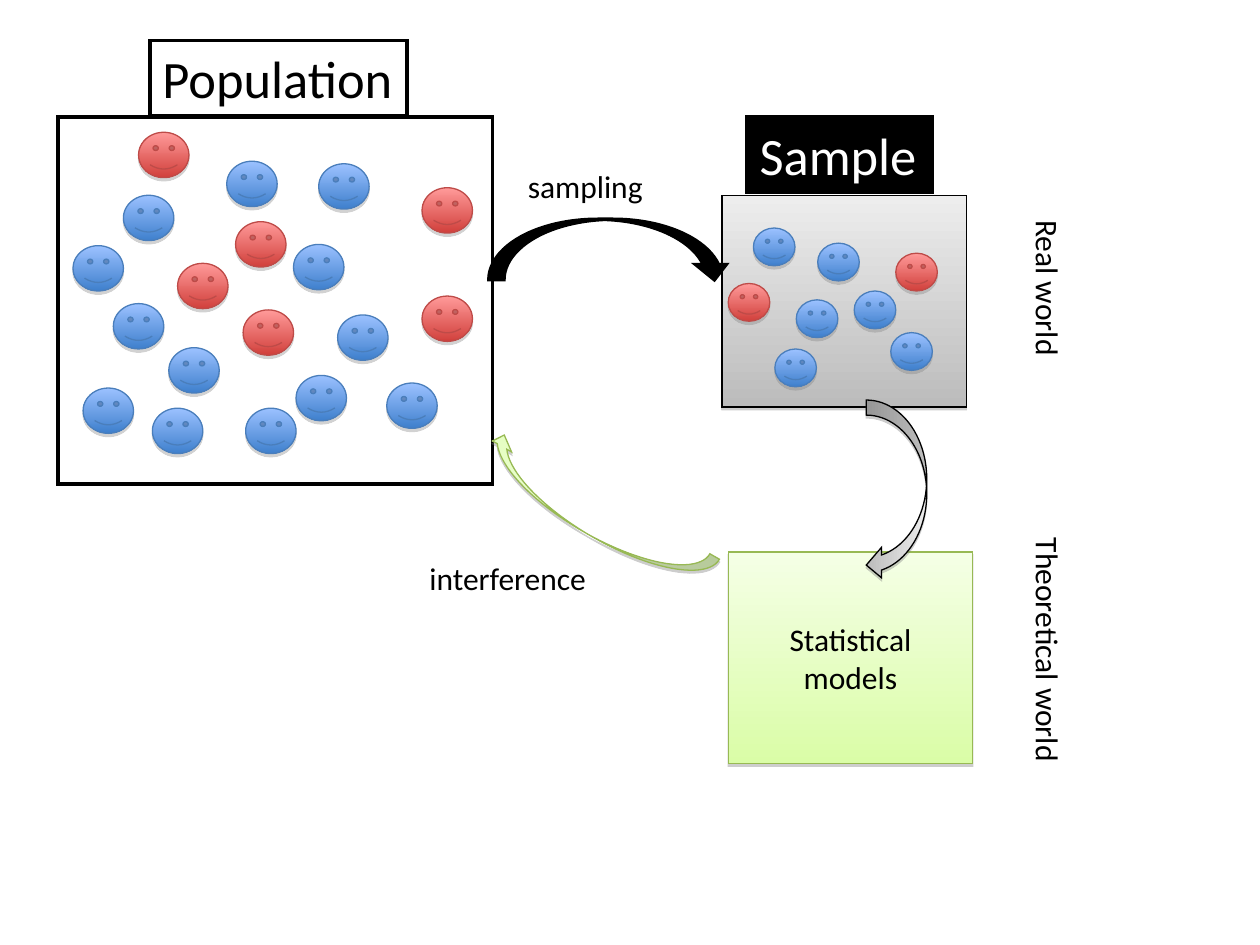
from dataclasses import dataclass
from typing import NamedTuple, Optional

from lxml import etree
from pptx import Presentation
from pptx.dml.color import RGBColor
from pptx.enum.shapes import MSO_SHAPE
from pptx.enum.text import MSO_ANCHOR, MSO_AUTO_SIZE, PP_ALIGN
from pptx.oxml.ns import qn
from pptx.util import Inches, Pt

RECT = MSO_SHAPE.RECTANGLE
SMILEY = MSO_SHAPE.SMILEY_FACE
CURVED_ARROW = MSO_SHAPE.CURVED_DOWN_ARROW
LEFT, CENTER = PP_ALIGN.LEFT, PP_ALIGN.CENTER
TOP, MIDDLE = MSO_ANCHOR.TOP, MSO_ANCHOR.MIDDLE
FIT_TEXT, NO_FIT = MSO_AUTO_SIZE.SHAPE_TO_FIT_TEXT, MSO_AUTO_SIZE.NONE

BLACK = RGBColor(0x00, 0x00, 0x00)
WHITE = RGBColor(0xFF, 0xFF, 0xFF)
SHADOW = RGBColor(0x80, 0x80, 0x80)
FONT = "Calibri"


class Box(NamedTuple):
    left: float
    top: float
    width: float
    height: float


@dataclass(frozen=True)
class Style:
    fill: tuple[RGBColor, ...]  # none, one plain colour or two gradient stops
    line: RGBColor
    line_width: float = 0.75
    shadow: Optional[tuple[float, int]] = None  # distance in points, opacity in percent


FRAME = Style((), BLACK, 2)
WHITE_LABEL = Style((WHITE,), BLACK, 2)
SOLID_BLACK = Style((BLACK,), BLACK, 2)
GRAY = Style((RGBColor(0xED, 0xED, 0xED), RGBColor(0xBC, 0xBC, 0xBC)), BLACK, shadow=(1.6, 38))
GREEN = Style((RGBColor(0xF5, 0xFF, 0xE6), RGBColor(0xDA, 0xFD, 0xA7)),
              RGBColor(0x98, 0xB9, 0x54), shadow=(1.6, 38))
BLUE_FACE = Style((RGBColor(0x9B, 0xC1, 0xFF), RGBColor(0x3F, 0x80, 0xCD)),
                  RGBColor(0x4A, 0x7E, 0xBB), shadow=(1.8, 35))
RED_FACE = Style((RGBColor(0xFF, 0x9A, 0x99), RGBColor(0xD1, 0x40, 0x3C)),
                 RGBColor(0xBE, 0x4B, 0x48), shadow=(1.8, 35))

POPULATION_FACE = (0.4, 0.36)
POPULATION_BLUE = [(1.8, 1.28), (0.58, 1.95), (2.33, 1.94), (0.9, 2.41), (2.53, 1.3),
                   (1.34, 2.76), (1.95, 3.24), (1.21, 3.24), (3.07, 3.04), (0.66, 3.08),
                   (2.68, 2.5), (2.35, 2.98), (0.98, 1.55)]
POPULATION_RED = [(1.1, 1.05), (1.93, 2.46), (3.35, 1.49), (1.87, 1.76), (3.35, 2.35),
                  (1.41, 2.09)]
SAMPLE_FACE = (0.33, 0.3)
SAMPLE_BLUE = [(6.49, 1.93), (5.98, 1.81), (6.15, 2.77), (6.32, 2.38), (7.07, 2.64),
               (6.78, 2.31)]
SAMPLE_RED = [(5.78, 2.25), (7.11, 2.01)]


def add_shadow(shape, distance: float, opacity: int) -> None:
    effects = shape._element.spPr.find(qn("a:effectLst"))
    outer = etree.SubElement(effects, qn("a:outerShdw"), blurRad="0", dist=str(Pt(distance)),
                             dir="5400000", rotWithShape="0")
    color = etree.SubElement(outer, qn("a:srgbClr"), val=str(SHADOW))
    etree.SubElement(color, qn("a:alpha"), val=str(opacity * 1000))


def draw_shape(s, kind, box: Box, style: Style, rotation: float = 0):
    """Draw a preset shape with sharp corners and a top-to-bottom gradient."""
    sp = s.shapes.add_shape(kind, *map(Inches, box))
    sp.rotation = rotation
    sp.shadow.inherit = False
    if len(style.fill) == 2:
        sp.fill.gradient()
        sp.fill.gradient_angle = 270
        for position, (stop, color) in enumerate(zip(sp.fill.gradient_stops, style.fill)):
            stop.color.rgb = color
            stop.position = position
    elif style.fill:
        sp.fill.solid()
        sp.fill.fore_color.rgb = style.fill[0]
    else:
        sp.fill.background()
    sp.line.color.rgb = style.line
    sp.line.width = Pt(style.line_width)
    etree.SubElement(sp._element.spPr.find(qn("a:ln")), qn("a:miter"), lim="800000")
    if style.shadow:
        add_shadow(sp, *style.shadow)
    return sp


def write(sp, text: str, *, size: float = 18, color: RGBColor = BLACK, align=LEFT,
          anchor=TOP, wrap: bool = False) -> None:
    tf = sp.text_frame
    tf.word_wrap = wrap
    tf.auto_size = NO_FIT if wrap else FIT_TEXT
    tf.vertical_anchor = anchor
    p = tf.paragraphs[0]
    p.alignment = align
    r = p.add_run()
    r.text = text
    r.font.name = FONT
    r.font.size = Pt(size)
    r.font.color.rgb = color


def draw_label(s, text: str, box: Box, rotation: float = 0) -> None:
    sp = s.shapes.add_textbox(*map(Inches, box))
    sp.rotation = rotation
    write(sp, text)


def draw_faces(s, places: list[tuple[float, float]], size: tuple[float, float],
               style: Style) -> None:
    for place in places:
        draw_shape(s, SMILEY, Box(*place, *size), style)


def main() -> None:
    prs = Presentation()
    prs.slide_width, prs.slide_height = Inches(10), Inches(7.5)
    s = prs.slides.add_slide(prs.slide_layouts[6])

    draw_shape(s, RECT, Box(5.73, 1.55, 1.94, 1.68), GRAY)
    write(draw_shape(s, RECT, Box(1.19, 0.32, 2.04, 0.6), WHITE_LABEL), "Population", size=30)
    write(draw_shape(s, RECT, Box(5.93, 0.93, 1.47, 0.6), SOLID_BLACK), "Sample",
          size=30, color=WHITE)

    draw_faces(s, POPULATION_BLUE, POPULATION_FACE, BLUE_FACE)
    draw_faces(s, POPULATION_RED, POPULATION_FACE, RED_FACE)
    draw_faces(s, SAMPLE_BLUE, SAMPLE_FACE, BLUE_FACE)
    draw_faces(s, SAMPLE_RED, SAMPLE_FACE, RED_FACE)
    draw_shape(s, RECT, Box(0.46, 0.93, 3.45, 2.91), FRAME)

    draw_shape(s, CURVED_ARROW, Box(3.88, 1.74, 1.91, 0.48), SOLID_BLACK)
    draw_label(s, "sampling", Box(4.09, 1.28, 1.11, 0.4))
    draw_shape(s, CURVED_ARROW, Box(3.7, 3.9, 2.06, 0.35), GREEN, rotation=210)
    draw_label(s, "interference", Box(3.31, 4.39, 1.46, 0.4))
    draw_label(s, "Real world", Box(7.68, 2.09, 1.28, 0.4), rotation=90)
    draw_label(s, "Theoretical world", Box(7.33, 4.96, 1.98, 0.4), rotation=90)

    models = draw_shape(s, RECT, Box(5.78, 4.38, 1.94, 1.68), GREEN)
    write(models, "Statistical models", align=CENTER, anchor=MIDDLE, wrap=True)
    draw_shape(s, CURVED_ARROW, Box(6.4, 3.65, 1.43, 0.48), GRAY, rotation=90)

    prs.save("out.pptx")


if __name__ == "__main__":
    main()
